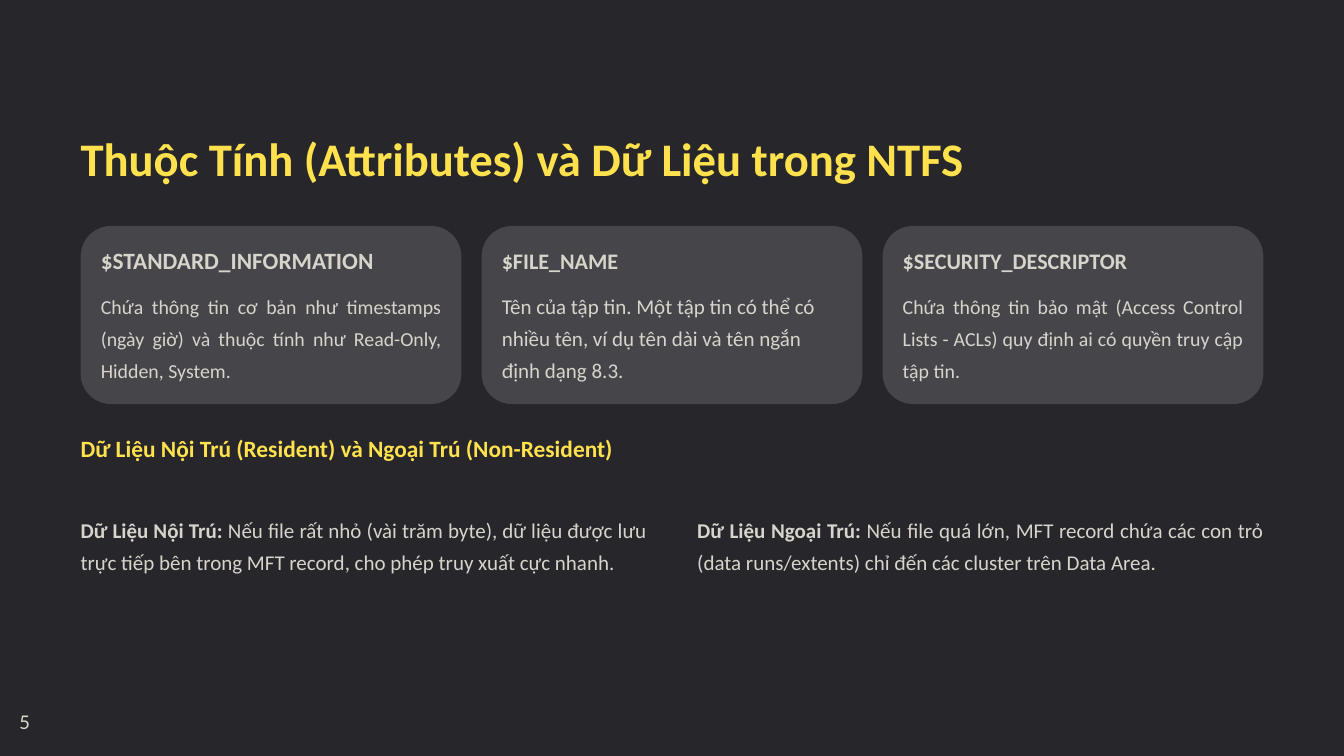
from pptx import Presentation
from pptx import util as u
from pptx.dml.color import RGBColor
from pptx.enum import shapes, text

COLORS = {"background": "27272B", "card": "46464A", "accent": "FFE14D", "body": "D7D4CC"}
FONT = "Calibri"
LEFT, CONTENT_WIDTH = 0.96, 14.08
JUSTIFY, ALIGN_LEFT = text.PP_ALIGN.JUSTIFY, text.PP_ALIGN.LEFT

CARDS = [
    ("$STANDARD_INFORMATION", 20, ALIGN_LEFT,
     "Chứa thông tin cơ bản như timestamps (ngày giờ) và thuộc tính như Read-Only, Hidden, System.",
     17, JUSTIFY),
    ("$FILE_NAME", 19, ALIGN_LEFT,
     "Tên của tập tin. Một tập tin có thể có nhiều tên, ví dụ tên dài và tên ngắn định dạng 8.3.",
     18, ALIGN_LEFT),
    ("$SECURITY_DESCRIPTOR", 19, JUSTIFY,
     "Chứa thông tin bảo mật (Access Control Lists - ACLs) quy định ai có quyền truy cập tập tin.",
     17, JUSTIFY),
]
DATA_TYPES = [
    ("Dữ Liệu Nội Trú:",
     " Nếu file rất nhỏ (vài trăm byte), dữ liệu được lưu trực tiếp bên trong MFT record, "
     "cho phép truy xuất cực nhanh."),
    ("Dữ Liệu Ngoại Trú:",
     " Nếu file quá lớn, MFT record chứa các con trỏ (data runs/extents) chỉ đến các cluster "
     "trên Data Area."),
]


def color(name):
    """Return a palette colour."""
    return RGBColor.from_string(COLORS[name])


def inches(*lengths):
    """Convert lengths in inches."""
    return [u.Inches(length) for length in lengths]


def write(shape, runs, size, spacing, name="body", align=JUSTIFY):
    """Fill a shape with one paragraph of (words, bold) runs."""
    frame = shape.text_frame
    frame.word_wrap = True
    frame.auto_size = text.MSO_AUTO_SIZE.NONE
    frame.vertical_anchor = text.MSO_ANCHOR.TOP
    frame.margin_left = frame.margin_right = frame.margin_top = frame.margin_bottom = 0
    paragraph = frame.paragraphs[0]
    paragraph.alignment = align
    paragraph.line_spacing = u.Pt(spacing)
    paragraph.space_before = u.Pt(0)
    for words, bold in runs:
        run = paragraph.add_run()
        run.text = words
        run.font.name, run.font.size, run.font.bold = FONT, u.Pt(size), bold
        run.font.color.rgb = color(name)


def add_text(slide, box, *content, **style):
    """Add a text box at the given box."""
    write(slide.shapes.add_textbox(*inches(*box)), *content, **style)


def add_title(slide, box, words):
    """Place and format the title placeholder."""
    title = slide.shapes.title
    title.left, title.top, title.width, title.height = inches(*box)
    write(title, [(words, True)], 40, 48, name="accent")


def add_card(slide, box, heading, heading_size, heading_align, body, body_size, body_align):
    """Draw a rounded attribute card with a heading and a body."""
    left, top, width, height = box
    padding = 0.24
    card = slide.shapes.add_shape(shapes.MSO_SHAPE.ROUNDED_RECTANGLE, *inches(*box))
    card.adjustments[0] = 0.171
    card.shadow.inherit = False
    card.fill.solid()
    card.fill.fore_color.rgb = color("card")
    card.line.fill.background()
    inner_left, inner_width = left + padding, width - 2 * padding
    add_text(slide, (inner_left, top + padding, inner_width, 0.33),
             [(heading, True)], heading_size, 24, align=heading_align)
    add_text(slide, (inner_left, top + 0.72, inner_width, 1.16),
             [(body, False)], body_size, 27.5, align=body_align)


def add_columns(box, gap, count):
    """Split a box into equal columns."""
    left, top, width, height = box
    column = (width - gap * (count - 1)) / count
    return [(left + i * (column + gap), top, column, height) for i in range(count)]


def build_attributes_slide(presentation):
    """Build the slide on NTFS attributes and data."""
    slide = presentation.slides.add_slide(presentation.slide_layouts[5])
    slide.background.fill.solid()
    slide.background.fill.fore_color.rgb = color("background")
    add_title(slide, (LEFT, 1.54, CONTENT_WIDTH, 0.67),
              "Thuộc Tính (Attributes) và Dữ Liệu trong NTFS")
    card_row = (LEFT, 2.69, CONTENT_WIDTH, 2.12)
    for box, card in zip(add_columns(card_row, 0.24, len(CARDS)), CARDS):
        add_card(slide, box, *card)
    add_text(slide, (LEFT, 5.17, CONTENT_WIDTH, 0.33),
             [("Dữ Liệu Nội Trú (Resident) và Ngoại Trú (Non-Resident)", True)],
             20, 24, name="accent")
    data_row = (LEFT, 6.08, CONTENT_WIDTH, 1.16)
    for box, (term, detail) in zip(add_columns(data_row, 0.6, len(DATA_TYPES)), DATA_TYPES):
        add_text(slide, box, [(term, True), (detail, False)], 18, 27.5)
    add_text(slide, (0.23, 8.25, 0.6, 0.43), [("5", False)], 18, 34.5, align=ALIGN_LEFT)


def main():
    """Create and save the presentation."""
    presentation = Presentation()
    presentation.slide_width, presentation.slide_height = inches(16, 9)
    build_attributes_slide(presentation)
    presentation.save("out.pptx")


if __name__ == "__main__":
    main()
